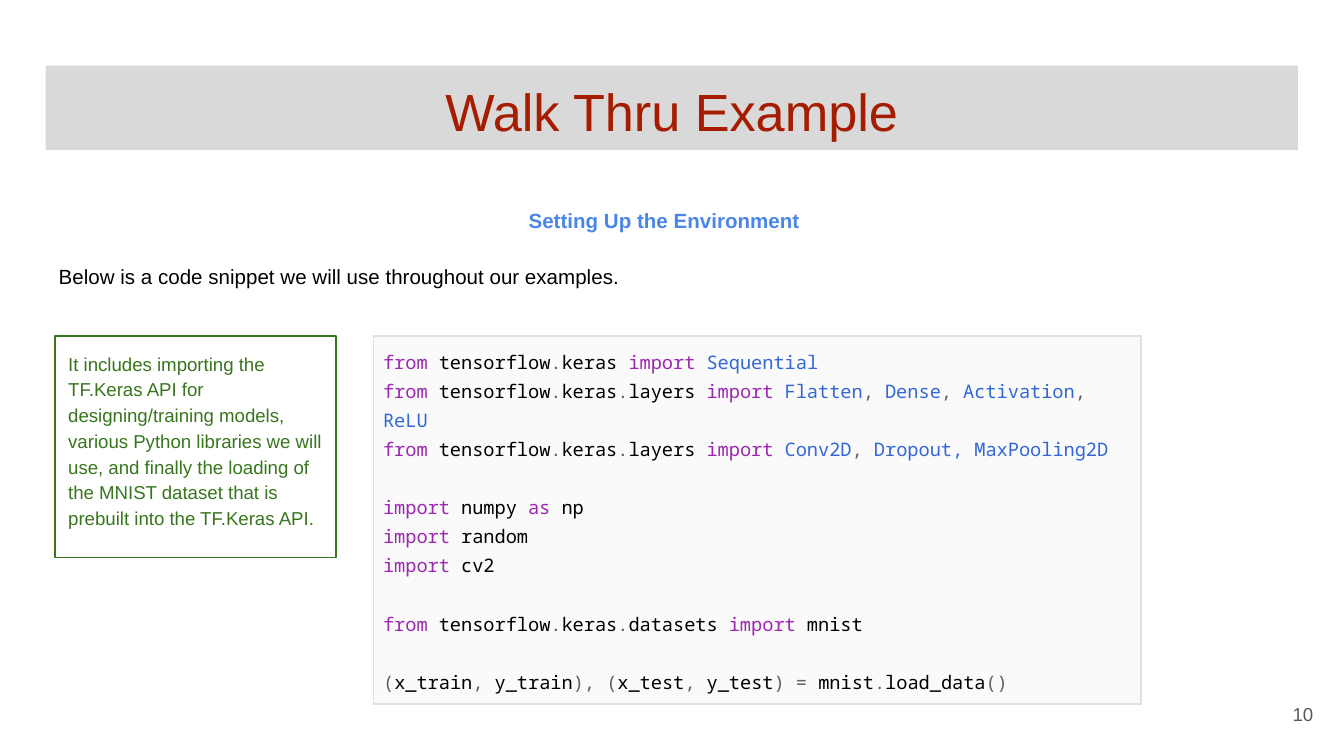
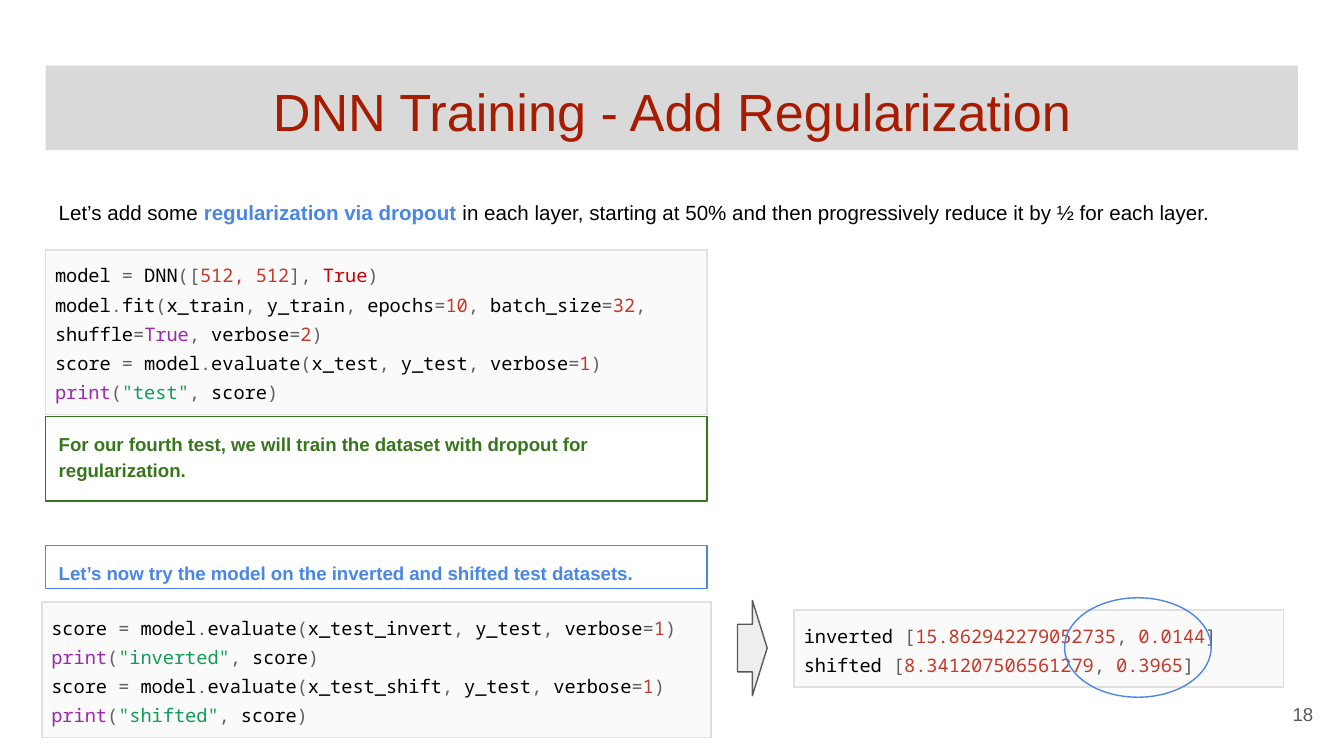
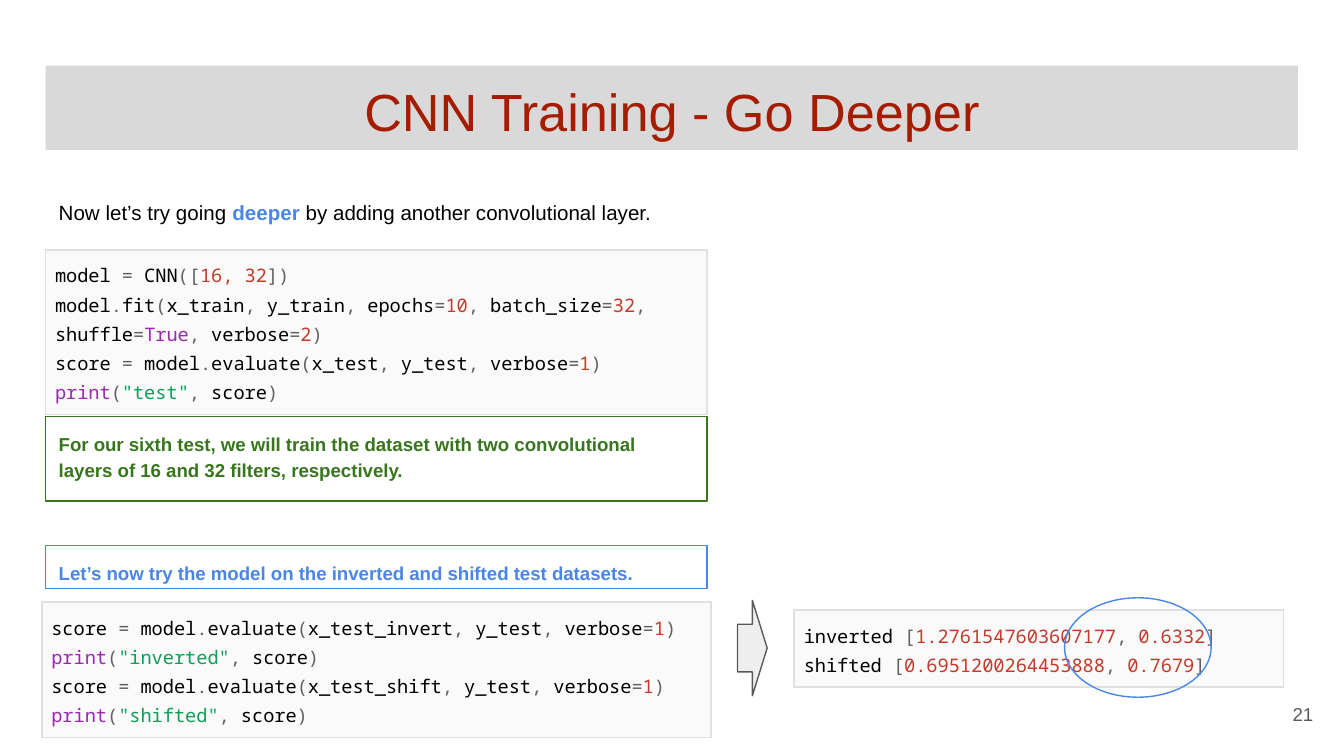
import itertools

import pptx
import pptx.dml.color
import pptx.enum.shapes
import pptx.enum.text
import pptx.oxml
import pptx.oxml.ns
import pptx.util

Cm = pptx.util.Cm
Pt = pptx.util.Pt
RGB = pptx.dml.color.RGBColor
ALIGN = pptx.enum.text.PP_ALIGN
ANCHOR = pptx.enum.text.MSO_ANCHOR
SHAPE = pptx.enum.shapes.MSO_SHAPE

BLACK = RGB(0x00, 0x00, 0x00)
RED = RGB(0xA6, 0x1C, 0x00)
BAND = RGB(0xD9, 0xD9, 0xD9)
GRAY = RGB(0x59, 0x59, 0x59)
GREEN = RGB(0x38, 0x76, 0x1D)
BLUE = RGB(0x4A, 0x86, 0xE8)
ARROW = RGB(0xEE, 0xEE, 0xEE)
CODE_FILL = RGB(0xFA, 0xFA, 0xFA)
CODE_BORDER = RGB(0xE0, 0xE0, 0xE0)
PUNCTUATION = RGB(0x61, 0x61, 0x61)

# Marked pieces look like |k:text|
STYLES = {
    "k": RGB(0x9C, 0x27, 0xB0),  # keyword
    "c": RGB(0x33, 0x67, 0xD6),  # class
    "n": RGB(0xC5, 0x39, 0x29),  # number
    "s": RGB(0x0F, 0x9D, 0x58),  # string
    "t": RGB(0xCC, 0x00, 0x00),  # flag
    "h": BLUE,                   # highlight, bold
}
SANS = "Arial"
MONO = "Noto Sans Mono"
INSET = 0.25
LEFT = 0.86
BAND_WIDTH = 23.67
COLUMN_WIDTH = 12.5

SETUP = {
    "title": "Walk Thru Example",
    "number": 10,
    "intro": ["|h:Setting Up the Environment|", "",
              "Below is a code snippet we will use throughout our examples."],
    "note": "It includes importing the TF.Keras API for designing/training models, "
            "various Python libraries we will use, and finally the loading of the "
            "MNIST dataset that is prebuilt into the TF.Keras API.",
    "code": [
        "|k:from| tensorflow.keras |k:import| |c:Sequential|",
        "|k:from| tensorflow.keras.layers |k:import| "
        "|c:Flatten|, |c:Dense|, |c:Activation|, |c:ReLU|",
        "|k:from| tensorflow.keras.layers |k:import| |c:Conv2D|, |c:Dropout, MaxPooling2D|",
        "",
        "|k:import| numpy |k:as| np",
        "|k:import| random",
        "|k:import| cv2",
        "",
        "|k:from| tensorflow.keras.datasets |k:import| mnist",
        "",
        "(x_train, y_train), (x_test, y_test) = mnist.load_data()",
    ],
}
TRAININGS = [
    {
        "title": "DNN Training - Add Regularization",
        "number": 18,
        "intro": "Let’s add some |h:regularization via dropout| in each layer, starting "
                 "at 50% and then progressively reduce it by ½ for each layer.",
        "model": "model = DNN([|n:512, 512|], |t:True|)",
        "note": "For our fourth test, we will train the dataset with dropout for "
                "regularization.",
        "scores": {"inverted": ("15.862942279052735", "0.0144"),
                   "shifted": ("8.341207506561279", "0.3965")},
    },
    {
        "title": "CNN Training - Go Deeper",
        "number": 21,
        "intro": "Now let’s try going |h:deeper| by adding another convolutional layer.",
        "model": "model = CNN([|n:16, 32|])",
        "note": "For our sixth test, we will train the dataset with two convolutional "
                "layers of 16 and 32 filters, respectively.",
        "scores": {"inverted": ("1.2761547603607177", "0.6332"),
                   "shifted": ("0.6951200264453888", "0.7679")},
    },
]
FIT = ("model.fit(x_train, y_train, epochs=|n:10|, batch_size=|n:32|, "
       "shuffle=|k:True|, verbose=|n:2|)")
RETRY = "Let’s now try the model on the inverted and shifted test datasets."


def scoring(data, label):
    return [f"score = model.evaluate({data}, y_test, verbose=|n:1|)",
            f'|k:print|(|s:"{label}"|, score)']


def split_runs(line, color, code):
    """Yield (text, colour, highlighted) for a line with |style:text| marks."""
    for piece in line.split("|"):
        if piece[1:2] == ":":
            yield piece[2:], STYLES[piece[0]], piece[0] == "h"
        elif code:
            for punct, chars in itertools.groupby(piece, lambda ch: ch in "()[].,="):
                yield "".join(chars), PUNCTUATION if punct else color, False
        elif piece:
            yield piece, color, False


def write(tf, lines, size=10, font=SANS, color=BLACK, bold=False, align=ALIGN.LEFT,
          anchor=ANCHOR.TOP, spacing=1.15, gap=15.6, bottom=INSET, top=INSET):
    """Fill a text frame; an empty line becomes space before the next one."""
    tf.word_wrap = True
    tf.auto_size = pptx.enum.text.MSO_AUTO_SIZE.NONE
    tf.vertical_anchor = anchor
    tf.margin_left = tf.margin_right = Cm(INSET)
    tf.margin_top, tf.margin_bottom = Cm(top), Cm(bottom)
    fill_paragraphs(tf, lines, size, font, color, bold, align, spacing, gap)


def fill_paragraphs(tf, lines, size, font, color, bold, align, spacing, gap):
    p = None
    for i, line in enumerate(lines):
        if not line:
            continue
        p = tf.add_paragraph() if p is not None else tf.paragraphs[0]
        p.alignment = align
        p.line_spacing = spacing
        p.space_before = Pt(gap if i and not lines[i - 1] else 0)
        for text, run_color, highlighted in split_runs(line, color, font == MONO):
            r = p.add_run()
            r.text = text
            r.font.name = font
            r.font.size = Pt(size)
            r.font.bold = bold or highlighted
            r.font.color.rgb = run_color


def add_text(slide, box, lines, **fmt):
    sp = slide.shapes.add_textbox(*map(Cm, box))
    write(sp.text_frame, lines, **fmt)
    return sp


def add_outline(slide, kind, box, line, fill=None):
    sp = slide.shapes.add_shape(kind, *map(Cm, box))
    sp.shadow.inherit = False
    if fill is None:
        sp.fill.background()
    else:
        sp.fill.solid()
        sp.fill.fore_color.rgb = fill
    sp.line.color.rgb = line
    sp.line.width = Pt(0.75)
    return sp


def add_note(slide, box, text, color, bold=True):
    sp = add_outline(slide, SHAPE.RECTANGLE, box, color)
    write(sp.text_frame, [text], color=color, bold=bold)


def add_code(slide, box, lines):
    table = slide.shapes.add_table(1, 1, *map(Cm, box)).table
    table.first_row = table.horz_banding = False
    cell = table.cell(0, 0)
    cell.margin_left = cell.margin_right = Cm(0.18)
    cell.margin_top = cell.margin_bottom = Cm(0.18)
    tcPr = cell._tc.get_or_add_tcPr()
    for side in "LRTB":
        tcPr.append(pptx.oxml.parse_xml(
            f'<a:ln{side} {pptx.oxml.ns.nsdecls("a")} w="{Pt(1)}"><a:solidFill>'
            f'<a:srgbClr val="{CODE_BORDER}"/></a:solidFill></a:ln{side}>'))
    cell.fill.solid()
    cell.fill.fore_color.rgb = CODE_FILL
    fill_paragraphs(cell.text_frame, lines, 10, MONO, BLACK, False, ALIGN.LEFT, 1.15, 15.6)


def add_slide(prs, content):
    slide = prs.slides.add_slide(prs.slide_layouts[5])
    title = slide.shapes.title
    title.left, title.top, title.width, title.height = map(Cm, (LEFT, 1.24, BAND_WIDTH, 1.6))
    title.fill.solid()
    title.fill.fore_color.rgb = BAND
    write(title.text_frame, [content["title"]], size=28, color=RED,
          align=ALIGN.CENTER, spacing=1.0)
    add_text(slide, (23.55, 12.95, 1.52, 1.09), [str(content["number"])], color=GRAY,
             align=ALIGN.RIGHT, anchor=ANCHOR.MIDDLE, spacing=1.0)
    return slide


def add_setup_slide(prs, content):
    slide = add_slide(prs, content)
    sp = add_text(slide, (LEFT, 3.23, 23.39, 4.19), content["intro"], size=11,
                  gap=14.5, top=0.64)
    sp.text_frame.paragraphs[0].alignment = ALIGN.CENTER
    add_code(slide, (7.06, 6.35, 14.5, 6.96), content["code"])
    add_note(slide, (1.04, 6.35, 5.31, 4.19), content["note"], GREEN, bold=False)


def add_training_slide(prs, content):
    slide = add_slide(prs, content)
    add_text(slide, (LEFT, 3.43, BAND_WIDTH, 1.6), [content["intro"]], size=11,
             anchor=ANCHOR.MIDDLE, bottom=0.76)
    add_note(slide, (LEFT, 7.87, COLUMN_WIDTH, 1.6), content["note"], GREEN)
    add_code(slide, (LEFT, 4.72, COLUMN_WIDTH, 3.1),
             [content["model"], FIT] + scoring("x_test", "test"))
    add_code(slide, (0.79, 11.38, 12.65, 2.54),
             scoring("x_test_invert", "inverted") + scoring("x_test_shift", "shifted"))
    add_note(slide, (LEFT, 10.31, COLUMN_WIDTH, 0.81), RETRY, BLUE)
    add_code(slide, (15.01, 11.53, 9.25, 1.42),
             [f"{label} [|n:{loss}|, |n:{accuracy}|]"
              for label, (loss, accuracy) in content["scores"].items()])
    add_outline(slide, SHAPE.RIGHT_ARROW, (13.94, 11.35, 0.56, 1.8), GRAY, ARROW)
    add_outline(slide, SHAPE.OVAL, (20.12, 11.3, 2.77, 1.88), BLUE)


def main():
    prs = pptx.Presentation()
    prs.slide_width, prs.slide_height = Cm(25.4), Cm(14.29)
    add_setup_slide(prs, SETUP)
    for content in TRAININGS:
        add_training_slide(prs, content)
    prs.save("out.pptx")


if __name__ == "__main__":
    main()
